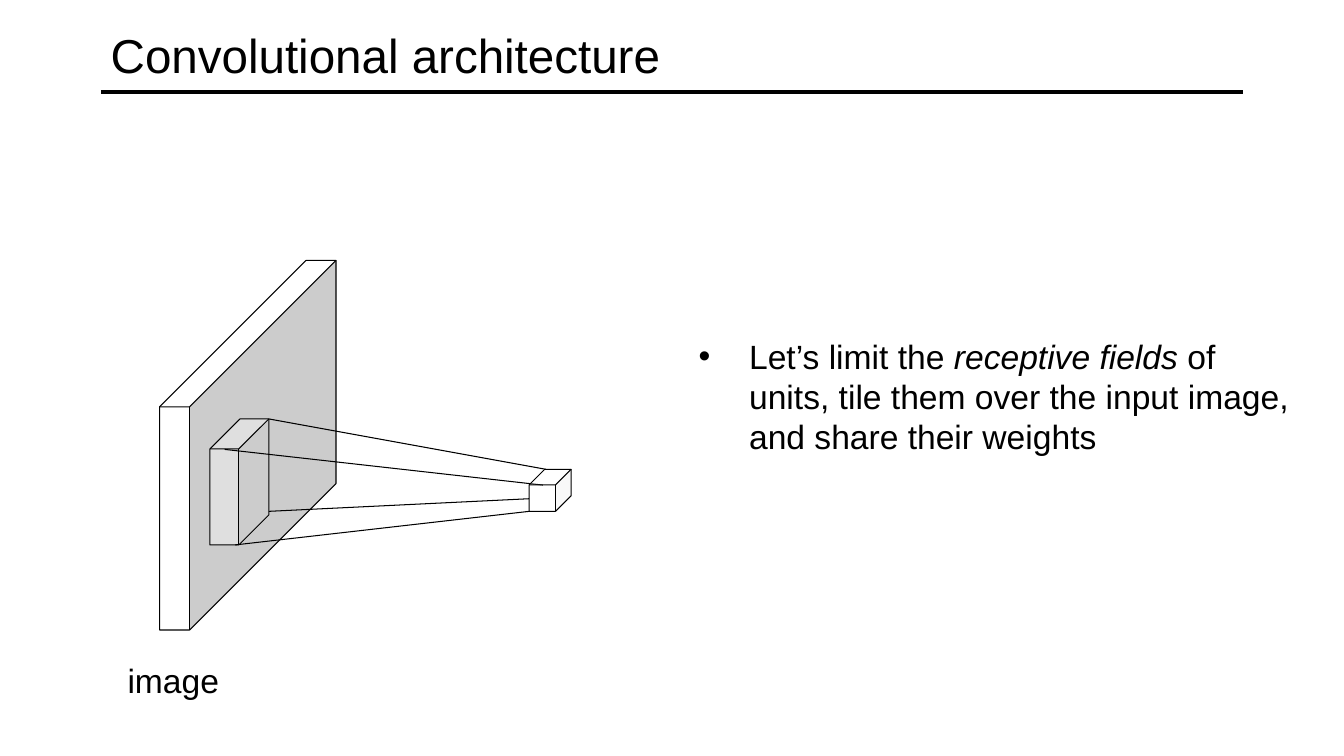
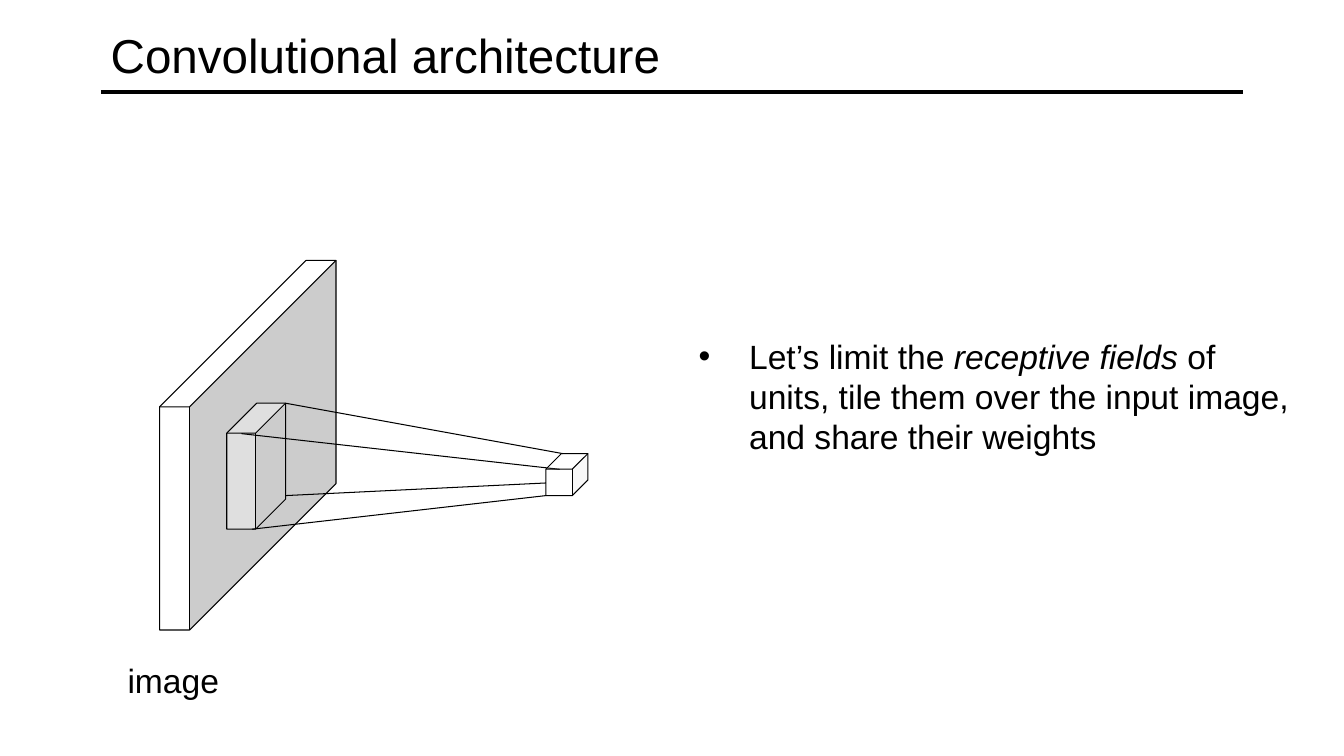
from lxml import etree
from pptx import Presentation
from pptx import util as u
from pptx.dml.color import RGBColor
from pptx.enum import shapes, text
from pptx.oxml.ns import qn

PX = 9525  # EMU in one px, 96 px to the inch
BLACK, WHITE = "000000", "FFFFFF"


def px(length):
    return u.Emu(length * PX)


def color(hex_string):
    return RGBColor.from_string(hex_string)


def write(frame, runs, size=24, bullet=None, indent=0, anchor=text.MSO_ANCHOR.TOP):
    """Fill a text frame with (words, italic) runs."""
    frame.word_wrap = True
    frame.vertical_anchor = anchor
    paragraph = frame.paragraphs[0]
    if bullet:
        properties = paragraph._p.get_or_add_pPr()
        properties.set("marL", str(px(indent)))
        properties.set("indent", str(-px(indent)))
        etree.SubElement(properties, qn("a:buFont")).set("typeface", Deck.font)
        etree.SubElement(properties, qn("a:buChar")).set("char", bullet)
    for words, italic in runs:
        run = paragraph.add_run()
        run.text = words
        run.font.name = Deck.font
        run.font.size = u.Pt(size)
        run.font.italic = italic
        run.font.color.rgb = color(BLACK)


class Deck:
    font = "Arial"
    thin, thick = 0.75, 3

    def __init__(self):
        self.prs = Presentation()
        self.prs.slide_width, self.prs.slide_height = px(1280), px(720)
        self.slide = None

    def new_slide(self, title):
        self.slide = self.prs.slides.add_slide(self.prs.slide_layouts[6])
        self.line(self.slide, (96, 88), (1184, 88), width=self.thick)
        self.text(96, 8, 1088, 88, [(title, False)], size=34,
                  anchor=text.MSO_ANCHOR.MIDDLE)

    def group(self):
        return self.slide.shapes.add_group_shape()

    def text(self, x, y, w, h, runs, **style):
        box = self.slide.shapes.add_textbox(px(x), px(y), px(w), px(h))
        write(box.text_frame, runs, **style)

    def line(self, parent, start, end, width=thin):
        connector = parent.shapes.add_connector(
            shapes.MSO_CONNECTOR.STRAIGHT, *map(px, (*start, *end)))
        connector.line.color.rgb = color(BLACK)
        connector.line.width = u.Pt(width)
        etree.SubElement(connector._element.spPr, qn("a:effectLst"))

    def cube(self, parent, x, y, w, h, depth, opacity=100):
        cube = parent.shapes.add_shape(
            shapes.MSO_SHAPE.CUBE, px(x), px(y), px(w), px(h))
        cube.adjustments[0] = depth
        cube.shadow.inherit = False
        cube.fill.solid()
        cube.fill.fore_color.rgb = color(WHITE)
        if opacity < 100:
            fill = cube._element.spPr.find(qn("a:solidFill"))
            etree.SubElement(fill[0], qn("a:alpha")).set("val", str(opacity * 1000))
        cube.line.color.rgb = color(BLACK)
        cube.line.width = u.Pt(self.thin)

    def receptive_field(self, x, y):
        """Patch of the image, joined by four rays to its unit."""
        field = self.group()
        self.cube(field, x, y, 56, 120, depth=0.51, opacity=39)
        rays = [((56, 0), (320, 48)), ((14, 29), (317, 63)),
                ((24, 120), (304, 88)), ((56, 88), (304, 76))]
        for (x1, y1), (x2, y2) in rays:
            self.line(field, (x + x1, y + y1), (x + x2, y + y2))
        self.cube(field, x + 304, y + 48, 40, 40, depth=0.37, opacity=13)


def main():
    deck = Deck()
    # One slide for each place of the receptive field
    for field_x, field_y in [(200, 399), (216, 384)]:
        deck.new_slide("Convolutional architecture")

        # Input image and the field on it
        deck.cube(deck.slide, 152, 248, 168, 352, depth=0.83)
        deck.receptive_field(field_x, field_y)
        deck.text(112, 624, 120, 48, [("image", False)])

        # Explanation
        deck.text(656, 315, 592, 256, [
            ("Let’s limit the ", False),
            ("receptive fields ", True),
            ("of units, tile them over the input image, and share their weights", False),
        ], bullet="•", indent=48)
    deck.prs.save("out.pptx")


if __name__ == "__main__":
    main()
